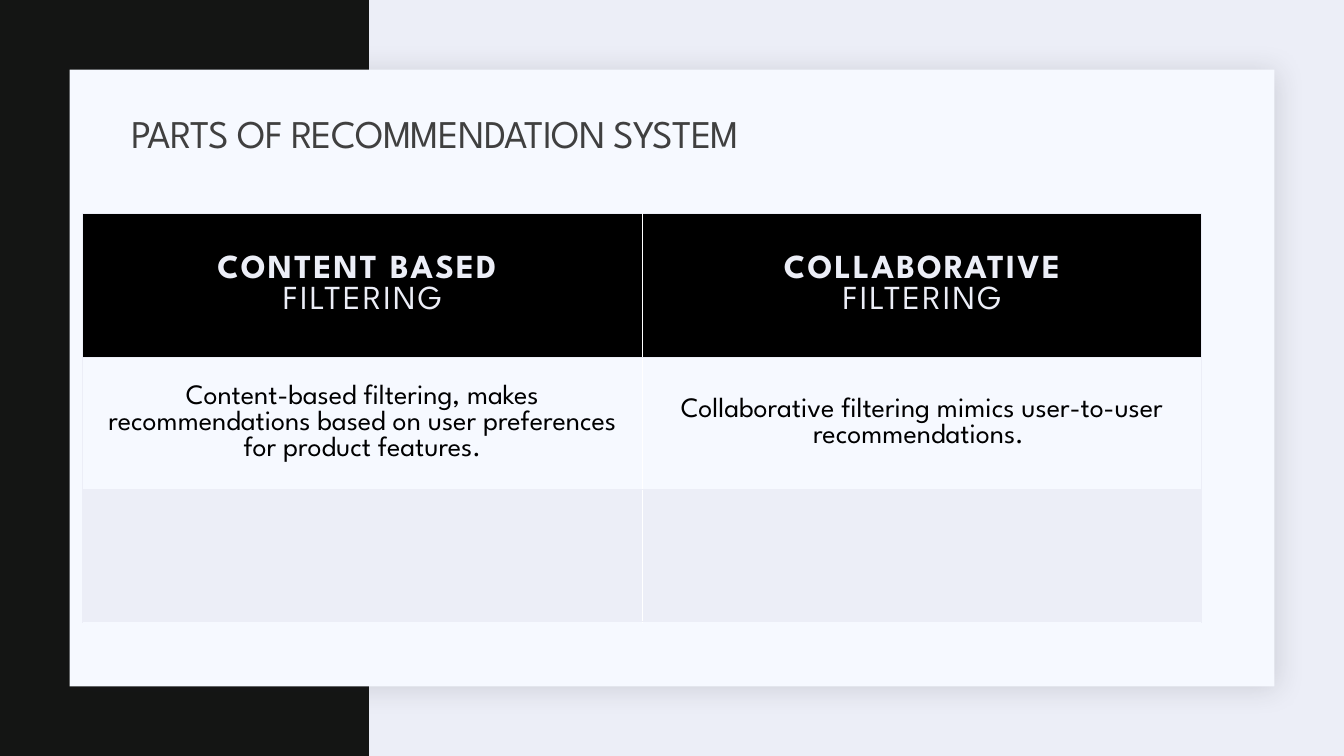
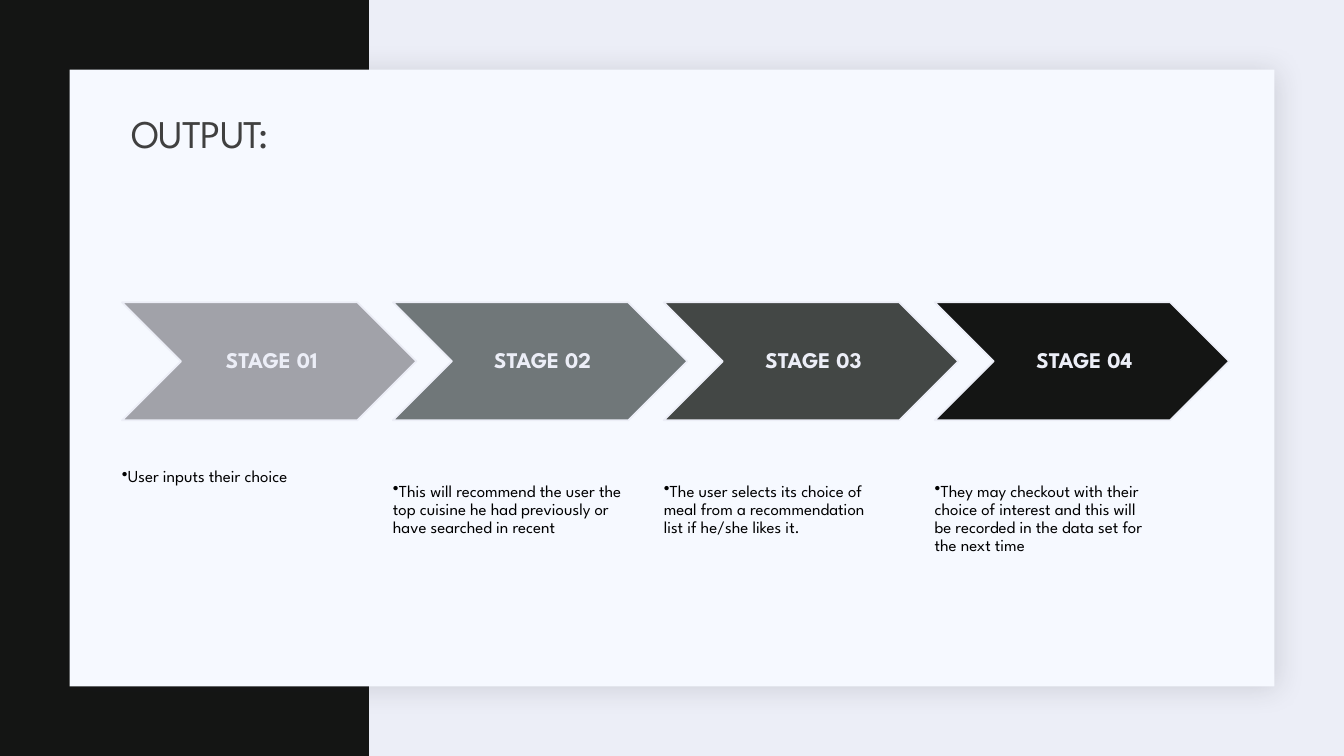
from lxml.etree import SubElement
from pptx import Presentation
from pptx.dml.color import RGBColor
from pptx.enum.shapes import MSO_SHAPE
from pptx.enum.text import MSO_ANCHOR, PP_ALIGN
from pptx.oxml.ns import qn
from pptx.util import Inches, Pt

# Shared style
FONT = "League Spartan"
BLACK = RGBColor(0x00, 0x00, 0x00)
INK = RGBColor(0x14, 0x15, 0x14)
TITLE_GREY = RGBColor(0x40, 0x40, 0x40)
MIST = RGBColor(0xEC, 0xEE, 0xF7)
PAPER = RGBColor(0xF6, 0xF9, 0xFF)
SHADOW = RGBColor(0x1F, 0x21, 0x25)
STAGE_FILLS = [RGBColor(0xA1, 0xA2, 0xA9), RGBColor(0x70, 0x77, 0x79),
               RGBColor(0x43, 0x47, 0x45), INK]

# Layout, in inches
WIDTH, HEIGHT = 13.33, 7.5
MARGIN = 0.69
BAND_WIDTH = 3.66
TITLE_AREA = (1.2, 1.03, 11, 0.64)
TABLE_LEFT, TABLE_TOP, COLUMN_WIDTH = 0.82, 2.12, 5.55
ROW_HEIGHTS = [1.43, 1.31, 1.31]
STAGE_LEFT, STAGE_LAST, STAGE_TOP = 1.21, 9.27, 3
STAGE_WIDTH, STAGE_HEIGHT = 2.92, 1.17
NOTE_TOP, NOTE_HEIGHT = 4.32, 1.4

# Content: (text, bold) lines for the headings
HEADINGS = [[("CONTENT BASED ", True), ("FILTERING", False)],
            [("COLLABORATIVE", True), ("FILTERING", False)]]
DESCRIPTIONS = [
    "Content-based filtering, makes recommendations based on user "
    "preferences for product features.",
    "Collaborative filtering mimics user-to-user recommendations. ",
]
# (text, right margin) for each stage
STAGE_NOTES = [
    ("User inputs their choice", 0.2),
    ("This will recommend the user the top cuisine he had previously or "
     "have searched in recent", 0),
    ("The user selects its choice of meal from a recommendation list if "
     "he/she likes it.", 0.2),
    ("They may checkout with their choice of interest and this will be "
     "recorded in the data set for the next time", 0.2),
]


def area(left, top, width, height):
    return [Inches(value) for value in (left, top, width, height)]


def add_span(para, text, size, color, bold=False, spacing=0):
    span = para.add_run()
    span.text = text
    font = span.font
    font.name, font.size, font.bold = FONT, Pt(size), bold
    font.color.rgb = color
    if spacing:
        font._element.set("spc", str(round(spacing * 100)))


def set_margins(holder, left, top, right, bottom):
    holder.margin_left, holder.margin_top = Inches(left), Inches(top)
    holder.margin_right, holder.margin_bottom = Inches(right), Inches(bottom)


def add_filled(page, kind, place, fill, line=None):
    shape = page.shapes.add_shape(kind, *area(*place))
    shape.shadow.inherit = False
    shape.fill.solid()
    shape.fill.fore_color.rgb = fill
    if line is None:
        shape.line.fill.background()
    else:
        shape.line.color.rgb = line
        shape.line.width = Pt(1.25)
    return shape


def add_soft_shadow(shape):
    effects = shape.element.spPr.find(qn("a:effectLst"))
    shadow = SubElement(effects, qn("a:outerShdw"), blurRad=str(Pt(20)),
                        dist=str(Pt(2)), dir=str(45 * 60000),
                        algn="tl", rotWithShape="0")
    color = SubElement(shadow, qn("a:srgbClr"), val=str(SHADOW))
    SubElement(color, qn("a:alpha"), val="15000")


def build_frame(layout, page):
    """Move the dark band and the paper card into the shared layout."""
    layout.background.fill.solid()
    layout.background.fill.fore_color.rgb = MIST
    band = add_filled(page, MSO_SHAPE.RECTANGLE,
                      (0, 0, BAND_WIDTH, HEIGHT), INK)
    card = add_filled(page, MSO_SHAPE.RECTANGLE,
                      (MARGIN, MARGIN, WIDTH - 2 * MARGIN, HEIGHT - 2 * MARGIN),
                      PAPER)
    add_soft_shadow(card)
    for position, shape in enumerate((band, card), start=2):
        layout.shapes.element.insert(position, shape.element)


def set_title(page, text):
    title = page.shapes.title
    title.left, title.top, title.width, title.height = area(*TITLE_AREA)
    title.text_frame.vertical_anchor = MSO_ANCHOR.MIDDLE
    para = title.text_frame.paragraphs[0]
    para.alignment, para.line_spacing = PP_ALIGN.LEFT, 0.9
    add_span(para, text, 28, TITLE_GREY, spacing=-0.5)


def set_borders(cell, sides):
    properties = cell._tc.get_or_add_tcPr()
    for position, side in enumerate(sides):
        line = properties.makeelement(qn(f"a:ln{side}"), {"w": str(Pt(1))})
        fill = SubElement(line, qn("a:solidFill"))
        SubElement(fill, qn("a:srgbClr"), val=str(MIST))
        properties.insert(position, line)


def fill_cell(cell, fill, lines, **style):
    cell.fill.solid()
    cell.fill.fore_color.rgb = fill
    cell.vertical_anchor = MSO_ANCHOR.MIDDLE
    set_margins(cell, 0.25, 0.25, 0.25, 0.25)
    frame = cell.text_frame
    for number, (text, bold) in enumerate(lines):
        para = frame.add_paragraph() if number else frame.paragraphs[0]
        para.alignment = PP_ALIGN.CENTER
        add_span(para, text, bold=bold, **style)


def add_filtering_table(page):
    columns = len(HEADINGS)
    table = page.shapes.add_table(
        len(ROW_HEIGHTS), columns,
        *area(TABLE_LEFT, TABLE_TOP, columns * COLUMN_WIDTH, sum(ROW_HEIGHTS))).table
    for row, height in zip(table.rows, ROW_HEIGHTS):
        row.height = Inches(height)
    for index, (heading, text) in enumerate(zip(HEADINGS, DESCRIPTIONS)):
        table.columns[index].width = Inches(COLUMN_WIDTH)
        head, body, empty = [table.cell(row, index)
                             for row in range(len(ROW_HEIGHTS))]
        fill_cell(head, BLACK, heading, size=24, color=MIST, spacing=1.5)
        fill_cell(body, PAPER, [(text, False)], size=20, color=BLACK)
        fill_cell(empty, MIST, [])
        # Only the outer sides and the row edges carry lines
        for cell in (head, body, empty):
            set_borders(cell, "RTB" if index else "LTB")


def add_stage(page, left, label, fill):
    chevron = add_filled(page, MSO_SHAPE.CHEVRON,
                         (left, STAGE_TOP, STAGE_WIDTH, STAGE_HEIGHT), fill, MIST)
    frame = chevron.text_frame
    frame.vertical_anchor = MSO_ANCHOR.MIDDLE
    set_margins(frame, 0.07, 0.02, 0.02, 0.02)
    para = frame.paragraphs[0]
    para.alignment, para.line_spacing = PP_ALIGN.CENTER, 0.9
    add_span(para, label, 16, MIST, bold=True)


def add_note(page, left, text, right_margin):
    box = page.shapes.add_textbox(
        *area(left, NOTE_TOP, STAGE_WIDTH * 0.8, NOTE_HEIGHT))
    frame = box.text_frame
    frame.word_wrap = True
    set_margins(frame, 0, 0.47, right_margin, 0)
    para = frame.paragraphs[0]
    para.line_spacing = 0.9
    SubElement(para._p.get_or_add_pPr(), qn("a:buChar"), char="•")
    add_span(para, text, 12, BLACK)


def add_stages(page):
    step = (STAGE_LAST - STAGE_LEFT) / (len(STAGE_NOTES) - 1)
    for index, (fill, note) in enumerate(zip(STAGE_FILLS, STAGE_NOTES)):
        left = STAGE_LEFT + index * step
        add_stage(page, left, f"STAGE {index + 1:02}", fill)
        add_note(page, left, *note)


def main():
    deck = Presentation()
    deck.slide_width, deck.slide_height = Inches(WIDTH), Inches(HEIGHT)
    layout = deck.slide_layouts.get_by_name("Title Only")

    # Parts of the system
    parts = deck.slides.add_slide(layout)
    build_frame(layout, parts)
    set_title(parts, "PARTS OF RECOMMENDATION SYSTEM")
    add_filtering_table(parts)

    # Stages of the output
    output = deck.slides.add_slide(layout)
    set_title(output, "OUTPUT:")
    add_stages(output)

    deck.save("out.pptx")


if __name__ == "__main__":
    main()
